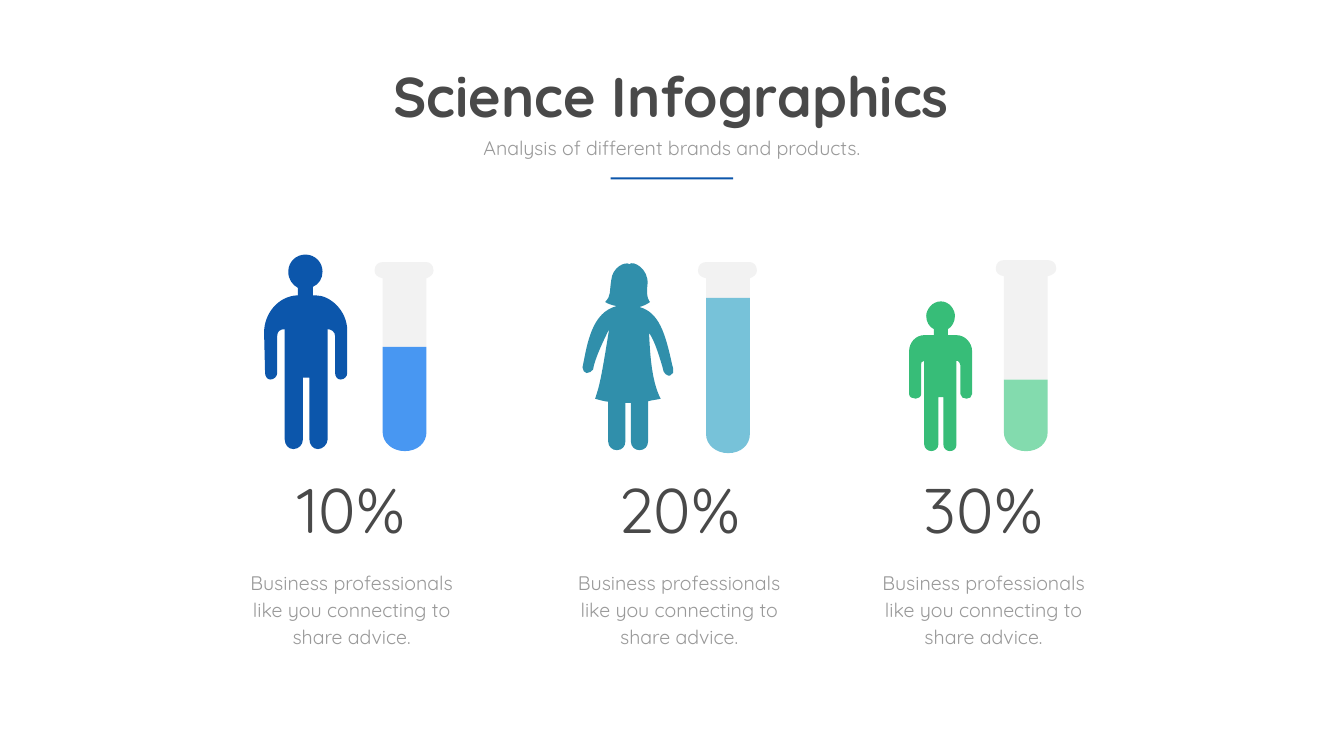
from dataclasses import dataclass

from lxml.etree import SubElement
from pptx import Presentation
from pptx.dml.color import RGBColor
from pptx.enum.shapes import MSO_SHAPE as Preset
from pptx.enum.text import MSO_ANCHOR as Anchor, MSO_AUTO_SIZE as AutoSize, PP_ALIGN as Align
from pptx.oxml.ns import qn
from pptx.util import Cm, Pt

FONT = "Quicksand"
COLORS = {
    "heading": "494949", "muted": "999999", "glass": "F2F2F2",
    "blue": "0C56AB", "light_blue": "4897F2",
    "teal": "308FAB", "light_teal": "77C2D9",
    "green": "37BD78", "light_green": "83DBAE",
}
UNIT = Cm(0.0254)  # grid step of the outlines
CAPTION = "Business professionals like you connecting to share advice."

# Outlines: two numbers are a corner, six are a Bezier curve
Outline = list[tuple[int, ...]]

MAN: Outline = [
    (165, 151), (165, 111, 131, 81, 103, 81), (97, 81), (97, 64),
    (109, 59, 116, 47, 116, 34), (116, 15, 101, 0, 82, 0),
    (63, 0, 48, 15, 48, 34), (48, 49, 56, 60, 67, 66), (67, 81), (65, 81),
    (28, 83, 0, 117, 0, 155), (2, 235), (2, 242, 7, 248, 12, 248),
    (20, 248, 26, 242, 26, 235), (26, 162), (26, 153, 31, 148, 41, 148),
    (41, 367), (41, 377, 48, 386, 58, 386), (69, 386, 77, 377, 77, 367),
    (77, 244), (90, 244), (90, 367), (90, 377, 97, 386, 107, 386),
    (116, 386, 126, 377, 126, 367), (126, 148), (133, 148, 141, 153, 141, 162),
    (141, 235), (141, 242, 145, 248, 152, 248), (159, 248, 165, 242, 165, 235),
]
WOMAN: Outline = [
    (180, 215), (178, 208), (164, 144, 152, 104, 113, 93),
    (127, 89, 134, 83, 134, 83), (134, 83, 125, 76, 129, 48),
    (132, 17, 100, 0, 93, 8), (85, 2, 59, 14, 57, 40), (53, 66, 57, 70, 45, 83),
    (45, 83, 53, 89, 68, 91), (19, 104, 10, 162, 0, 213),
    (0, 219, 4, 223, 8, 224), (13, 224, 19, 221, 21, 217),
    (25, 189, 57, 130, 53, 136), (38, 230, 34, 249, 25, 275),
    (32, 277, 42, 280, 51, 281), (51, 360), (51, 370, 59, 377, 68, 377),
    (78, 377, 85, 370, 85, 360), (85, 283), (96, 283), (96, 360),
    (96, 370, 104, 377, 113, 377), (123, 377, 130, 370, 130, 360), (130, 280),
    (140, 277, 149, 277, 155, 275), (136, 238, 134, 181, 132, 144),
    (142, 159, 149, 179, 159, 213), (161, 221), (163, 224, 166, 229, 170, 229),
    (174, 229), (180, 227, 181, 221, 180, 215),
]
CHILD: Outline = [
    (125, 99), (125, 82, 111, 67, 94, 67), (77, 67), (77, 55),
    (85, 51, 91, 40, 91, 29), (91, 16, 80, 0, 63, 0), (46, 0, 34, 16, 34, 29),
    (34, 40, 40, 51, 49, 55), (49, 67), (30, 67), (13, 67, 0, 82, 0, 99),
    (0, 184), (0, 190, 7, 193, 13, 193), (17, 193, 24, 190, 24, 184),
    (24, 129), (24, 121, 24, 118, 30, 118), (30, 284),
    (30, 292, 38, 297, 44, 297), (51, 297, 58, 292, 58, 284), (58, 190),
    (68, 190), (68, 284), (68, 292, 74, 297, 81, 297),
    (89, 297, 94, 292, 94, 284), (94, 118), (98, 116, 102, 124, 102, 129),
    (102, 184), (102, 190, 108, 193, 114, 193), (119, 193, 125, 190, 125, 184),
]


@dataclass
class Tube:
    left: float  # cm
    top: float
    rim: int  # outline units
    level: int
    bottom: int


@dataclass
class Column:
    percent: str
    center: float  # cm
    person: Outline
    person_left: float
    person_top: float
    color: str
    liquid: str
    tube: Tube


COLUMNS = [
    Column("10%", 17.72, MAN, 13.31, 12.83, "blue", "light_blue",
           Tube(18.88, 13.21, 117, 168, 375)),
    Column("20%", 34.23, WOMAN, 29.36, 13.11, "teal", "light_teal",
           Tube(35.18, 13.21, 117, 71, 379)),
    Column("30%", 49.57, CHILD, 45.82, 15.19, "green", "light_green",
           Tube(50.19, 13.11, 120, 237, 379)),
]


def rgb(color: str) -> RGBColor:
    return RGBColor.from_string(COLORS[color])


def paint(shape, color: str) -> None:
    shape.shadow.inherit = False
    shape.fill.solid()
    shape.fill.fore_color.rgb = rgb(color)
    shape.line.fill.background()


def draw_outline(shapes, outline: Outline, left: float, top: float, color: str) -> None:
    nodes = [(x * UNIT, y * UNIT) for *_, x, y in outline]
    builder = shapes.build_freeform(*nodes[0])
    builder.add_line_segments(nodes[1:], close=True)
    shape = builder.convert_to_shape(Cm(left), Cm(top))
    paint(shape, color)

    # Bend the straight segments that stand for curves
    min_x, min_y = min(x for x, _ in nodes), min(y for _, y in nodes)
    segments = list(shape._element.iter(qn("a:lnTo")))
    for segment, step in zip(segments, outline[1:]):
        if len(step) == 6:
            segment.clear()
            curve = SubElement(segment.getparent(), qn("a:cubicBezTo"))
            for x, y in zip(step[::2], step[1::2]):
                SubElement(curve, qn("a:pt"), x=str(x * UNIT - min_x), y=str(y * UNIT - min_y))
            segment.getparent().replace(segment, curve)


def draw_tube(shapes, tube: Tube, liquid: str) -> None:
    rim, level, bottom = tube.rim, tube.level, tube.bottom
    glass = [(103, 32), (rim - 8, 30, rim, 25, rim, 17), (rim, 5, rim - 8, 0, 103, 0),
             (16, 0), (8, 0, 0, 5, 0, 17), (0, 25, 6, 30, 16, 32),
             (16, level), (103, level)]
    filling = [(60, bottom), (85, bottom, 103, bottom - 16, 103, bottom - 38),
               (103, level), (16, level), (16, bottom - 38),
               (16, bottom - 16, 36, bottom, 60, bottom)]
    draw_outline(shapes, glass, tube.left, tube.top, "glass")
    draw_outline(shapes, filling, tube.left, tube.top, liquid)


def write(box, text: str, *, size: float, color: str, bold: bool = False,
          wrap: bool = True, line_spacing: float | None = None) -> None:
    frame = box.text_frame
    frame.text = text
    frame.word_wrap = wrap
    frame.auto_size = AutoSize.SHAPE_TO_FIT_TEXT
    frame.vertical_anchor = Anchor.TOP
    paragraph = frame.paragraphs[0]
    paragraph.alignment = Align.CENTER
    if line_spacing:
        paragraph.line_spacing = Pt(line_spacing)
    font = paragraph.runs[0].font
    font.name, font.size, font.bold = FONT, Pt(size), bold
    font.color.rgb = rgb(color)


def add_text(shapes, text: str, center: float, top: float, width: float,
             height: float, **text_format) -> None:
    box = shapes.add_textbox(Cm(center - width / 2), Cm(top), Cm(width), Cm(height))
    write(box, text, **text_format)


def draw_column(slide, column: Column) -> None:
    shapes = slide.shapes.add_group_shape().shapes
    draw_outline(shapes, column.person, column.person_left, column.person_top, column.color)
    draw_tube(shapes, column.tube, column.liquid)
    add_text(shapes, column.percent, column.center, 23.6, 7.11, 4.11, size=90, color="heading")
    add_text(shapes, CAPTION, column.center, 28.45, 11.51, 4.29,
             size=28, color="muted", line_spacing=38.6)


def main() -> None:
    deck = Presentation()
    deck.slide_width, deck.slide_height = Cm(67.74), Cm(38.1)
    slide = deck.slides.add_slide(deck.slide_layouts[5])

    # Heading
    title = slide.shapes.title
    title.left, title.top, title.width, title.height = Cm(19.02), Cm(2.97), Cm(29.64), Cm(3.68)
    write(title, "Science Infographics", size=80, color="heading", bold=True, wrap=False)
    add_text(slide.shapes, "Analysis of different brands and products.",
             33.86, 6.73, 24.28, 1.45, size=28, color="muted")
    underline = slide.shapes.add_shape(Preset.RECTANGLE, Cm(30.78), Cm(8.94), Cm(6.17), Cm(0.1))
    paint(underline, "blue")

    # Person, test tube, share and caption
    for column in COLUMNS:
        draw_column(slide, column)

    deck.save("out.pptx")


if __name__ == "__main__":
    main()
